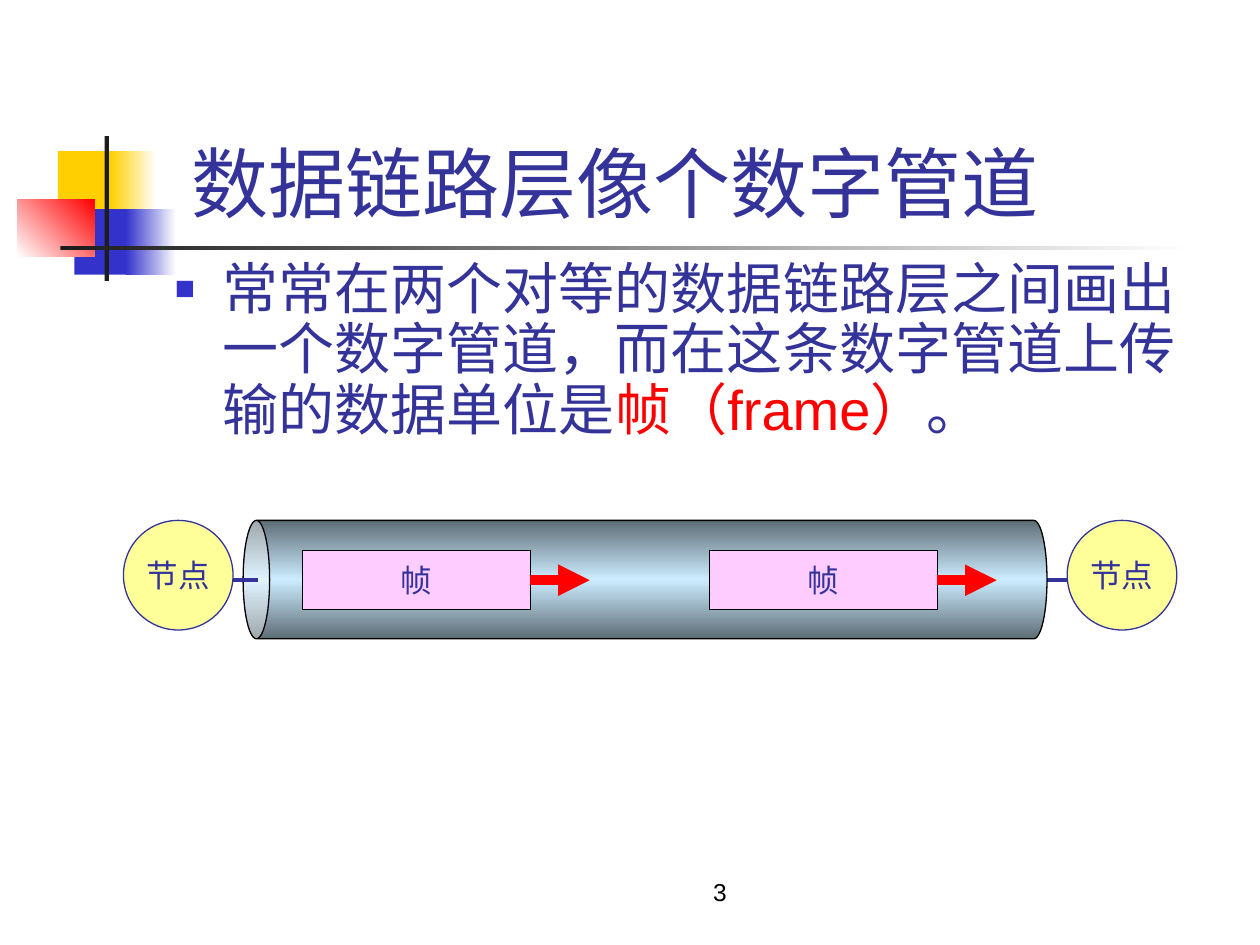
from copy import deepcopy

from lxml import etree
from pptx import Presentation
from pptx import util as u
from pptx.dml.color import RGBColor
from pptx.enum import shapes, text
from pptx.oxml.ns import qn

WIDE, HIGH = u.Inches(10), u.Inches(7.5)
FONT = "Arial"
INK = {
    "navy": "333399", "blue": "3333CC", "gold": "FFCF01", "red": "FF0000",
    "white": "FFFFFF", "coal": "1C1C1C", "black": "000000",
    "lemon": "FFFF99", "pink": "FFCCFF", "steel": "5E6D76", "sky": "CCECFF",
}
KIND = shapes.MSO_SHAPE
MID = 61.4  # height of the pipe's axis, percent of the slide


def rgb(name):
    return RGBColor.from_string(INK[name])


def area(x, y, w, h):
    """Turn percentages of the slide into lengths."""
    return [int(n * side / 100) for n, side in zip((x, y, w, h), (WIDE, HIGH) * 2)]


def sub(node, tag, **attrs):
    return etree.SubElement(node, qn(tag), **attrs)


def paint(shape, inks, angle=0):
    """One colour gives a plain fill, more give evenly spaced stops."""
    fill = shape.fill
    if len(inks) == 1:
        fill.solid()
        fill.fore_color.rgb = rgb(inks[0])
        return
    fill.gradient()
    fill.gradient_angle = angle
    stops = shape._element.spPr.find(qn("a:gradFill")).find(qn("a:gsLst"))
    while len(stops) < len(inks):
        stops.append(deepcopy(stops[0]))
    for i, (stop, ink) in enumerate(zip(fill.gradient_stops, inks)):
        stop.color.rgb = rgb(ink)
        stop.position = i / (len(inks) - 1)


def write(shape, *runs, size=18, ink="navy", align="CENTER", anchor="MIDDLE",
          wrap=True):
    """Each run is a string, or a pair of string and colour."""
    frame = shape.text_frame
    frame.word_wrap = wrap
    frame.auto_size = text.MSO_AUTO_SIZE.NONE
    frame.vertical_anchor = text.MSO_ANCHOR[anchor]
    para = frame.paragraphs[0]
    para.alignment = text.PP_ALIGN[align]
    for item in runs:
        words, tone = (item, ink) if isinstance(item, str) else item
        run = para.add_run()
        run.text = words
        run.font.name, run.font.size = FONT, u.Pt(size)
        run.font.color.rgb = rgb(tone)
    return para


def block(slide, kind, box, inks, angle=0, edge=None, label=None):
    shape = slide.shapes.add_shape(kind, *area(*box))
    shape.shadow.inherit = False
    paint(shape, inks, angle)
    if edge:
        shape.line.color.rgb = rgb(edge)
        shape.line.width = u.Pt(0.75)
    else:
        shape.line.fill.background()
    if label:
        write(shape, label, wrap=False)
    return shape


def link(slide, x1, x2, ink="navy", width=2.25, start=None, arrow=False):
    left, y, right, _ = area(x1, MID, x2, 0)
    line = slide.shapes.add_connector(shapes.MSO_CONNECTOR.STRAIGHT, left, y, right, y)
    if start is not None:
        line.begin_connect(start, 3)
        line.end_y = line.begin_y
    line.line.color.rgb = rgb(ink)
    line.line.width = u.Pt(width)
    if arrow:
        sub(line.line._get_or_add_ln(), "a:tailEnd", type="triangle")
    sub(line._element.spPr, "a:effectLst")


def decor(slide):
    """Coloured squares and crossed rules beside the title."""
    rows = [
        ((4.6, 16, 4.8, 6.93), ["gold"], 0),
        ((8.8, 16, 3.6, 6.93), ["gold", "white"], 0),
        ((5.9, 22.13, 4.6, 6.93), ["blue"], 0),
        ((10, 22.13, 4, 6.93), ["blue", "white"], 0),
        ((1.4, 21.07, 6.1, 6.13), ["white", "red"], 45),
        ((8.3, 14.4, 0.35, 15.33), ["coal"], 0),
        ((4.8, 26, 90, 0.45), ["coal", "white"], 0),
    ]
    for box, inks, angle in rows:
        block(slide, KIND.RECTANGLE, box, inks, angle)


def words(slide):
    # Title
    title = slide.shapes.title
    title.left, title.top, title.width, title.height = area(12, 13.6, 75, 11.2)
    write(title, "数据链路层像个数字管道 ", size=44, anchor="BOTTOM")

    # Bulleted text
    body = slide.shapes.add_textbox(*area(12.9, 26.93, 85, 70.53))
    para = write(body, "常常在两个对等的数据链路层之间画出一个数字管道，"
                 "而在这条数字管道上传输的数据单位是",
                 ("帧（frame）", "red"), "。",
                 size=32, align="LEFT", anchor="TOP")
    para.line_spacing = 0.9
    para.space_before = u.Pt(6.4)
    props = para._p.get_or_add_pPr()
    props.set("marL", str(u.Inches(0.38)))
    props.set("indent", str(-u.Inches(0.38)))
    sub(sub(props, "a:buClr"), "a:srgbClr", val=INK["blue"])
    sub(props, "a:buSzPct", val="60000")
    sub(props, "a:buFont", typeface=FONT)
    sub(props, "a:buChar", char="■")

    # Page number
    page = slide.shapes.add_textbox(*area(41.3, 89.87, 31.7, 6.67))
    write(page, "3", size=14, ink="black", anchor="BOTTOM")


def pipe(slide):
    # Nodes and the line between them
    for x in (9.8, 84.7):
        block(slide, KIND.OVAL, (x, 55.07, 8.7, 11.6), ["lemon"],
              edge="navy", label="节点")
    link(slide, 18.5, 84.7)

    # Pipe, a can lying on its side
    can = block(slide, KIND.CAN, (46.5, 18.8, 9.4, 85.07),
                ["steel", "sky", "steel"], edge="black")
    can.rotation = 270
    can.adjustments[0] = 0.224
    link(slide, 18.5, 20.5)

    # Frames moving to the right
    for x in (24, 56.3):
        frame = block(slide, KIND.RECTANGLE, (x, MID - 3.13, 18.1, 6.26), ["pink"],
                      edge="black", label="帧")
        link(slide, x + 18.1, x + 22.8, ink="red", width=6, start=frame, arrow=True)


def main():
    deck = Presentation()
    deck.slide_width, deck.slide_height = WIDE, HIGH
    slide = deck.slides.add_slide(deck.slide_layouts[5])
    decor(slide)
    words(slide)
    pipe(slide)
    deck.save("out.pptx")


if __name__ == "__main__":
    main()
